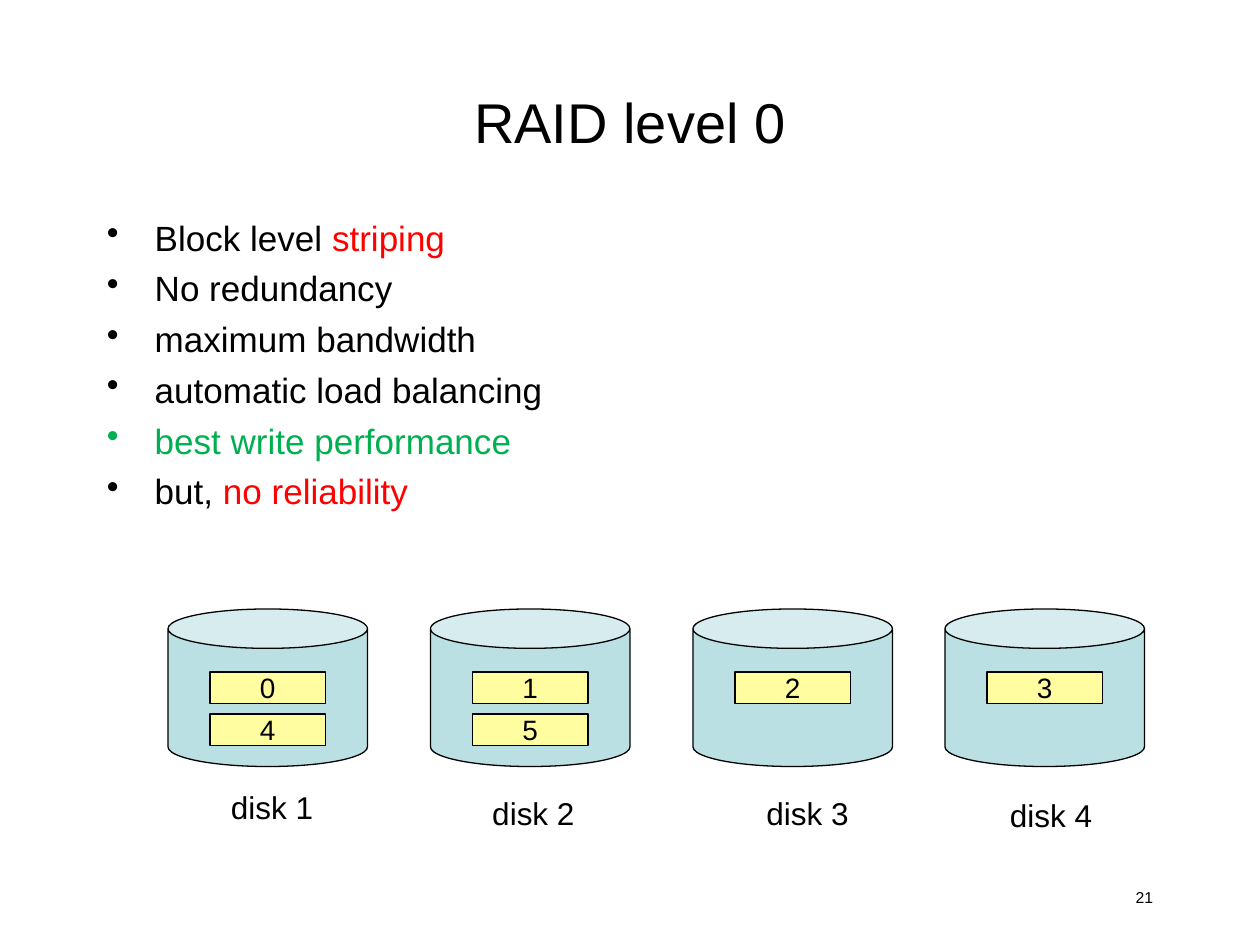
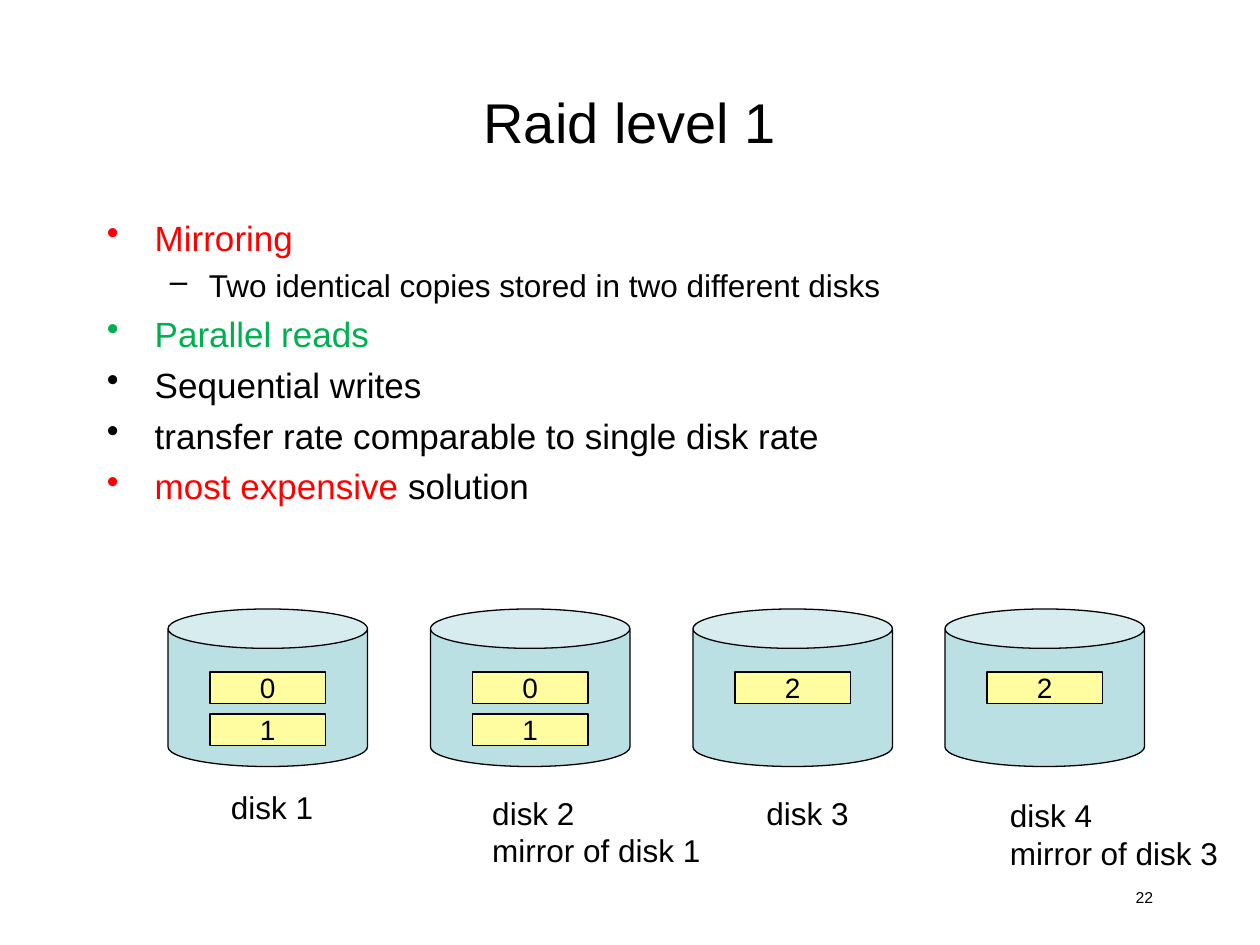
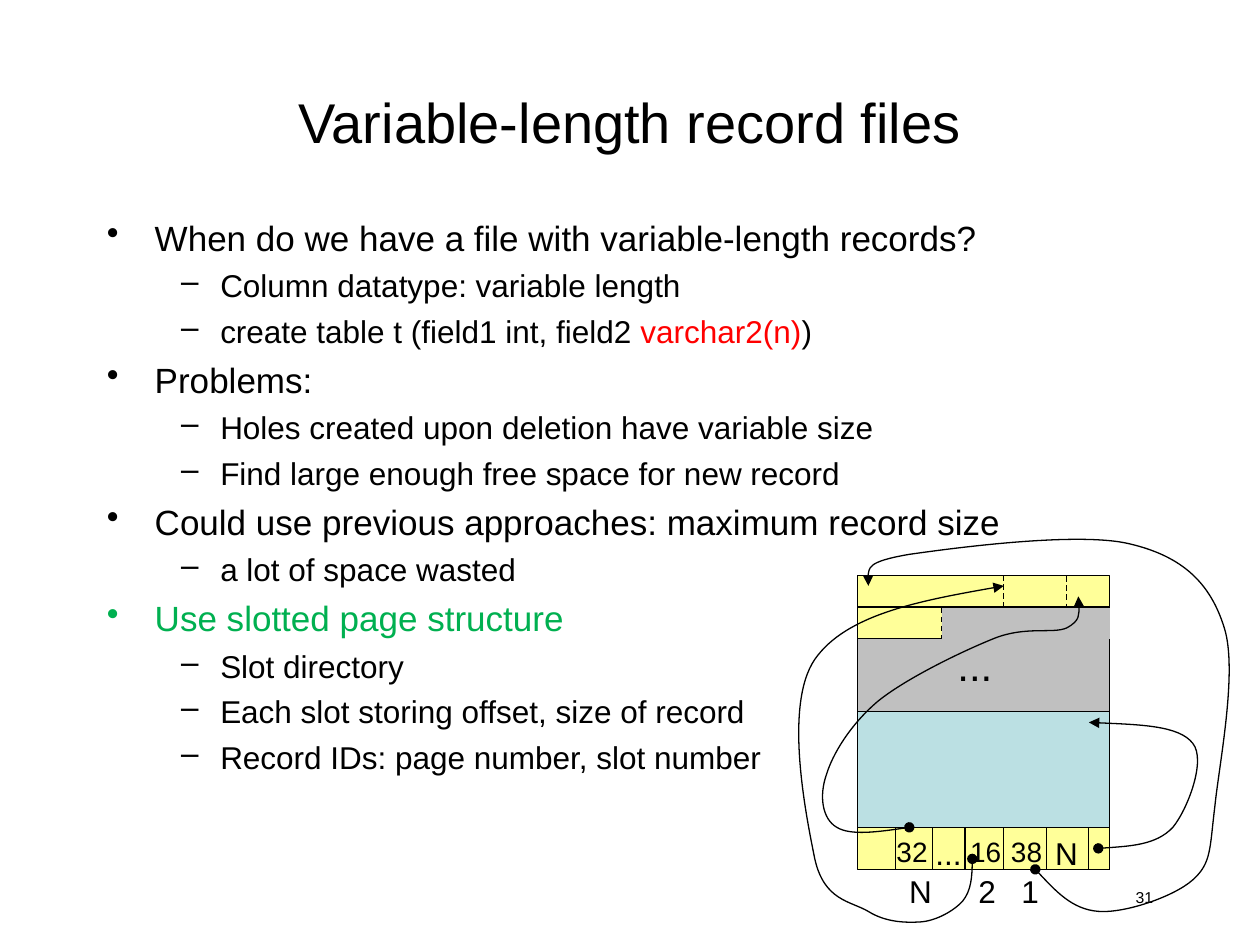
from dataclasses import dataclass
from typing import NamedTuple

from lxml import etree
from pptx import Presentation
from pptx.dml.color import RGBColor
from pptx.enum.dml import MSO_LINE
from pptx.enum.shapes import MSO_CONNECTOR, MSO_SHAPE
from pptx.enum.text import MSO_ANCHOR, MSO_AUTO_SIZE, PP_ALIGN
from pptx.oxml.ns import qn
from pptx.util import Inches, Pt

STRAIGHT = MSO_CONNECTOR.STRAIGHT
RECT, CAN = MSO_SHAPE.RECTANGLE, MSO_SHAPE.CAN
LEFT, CENTER, RIGHT = PP_ALIGN.LEFT, PP_ALIGN.CENTER, PP_ALIGN.RIGHT
MIDDLE = MSO_ANCHOR.MIDDLE
DASH = MSO_LINE.DASH
FIT_TEXT = MSO_AUTO_SIZE.SHAPE_TO_FIT_TEXT

FONT = "Arial"
BLACK, RED, GREEN = "000000", "FF0000", "00B050"
BLUE, GRAY, YELLOW, BLOCK_YELLOW = "BBE0E3", "C0C0C0", "FFFF99", "FFFDA0"
LINE_WIDTH = Pt(0.75)

# The slide is a grid of 120 columns by 90 rows.
WIDTH, HEIGHT = Inches(10), Inches(7.5)
COLS, ROWS = 120, 90


class Box(NamedTuple):
    col: float
    row: float
    cols: float
    rows: float


class Run(NamedTuple):
    text: str
    color: str = BLACK


@dataclass
class Bullet:
    runs: list[Run]
    level: int = 0


@dataclass
class Disk:
    col: float
    label_col: float
    label_row: float


@dataclass
class Label:
    col: float
    row: float
    text: str
    size: int = 18
    cols: float = 4.6
    wrap: bool = False


@dataclass
class Rule:
    start: tuple[float, float]
    end: tuple[float, float]
    color: str = BLACK
    dashed: bool = False


TITLE_BOX = Box(9, 4, 102, 15)
BODY_BOX = Box(9, 20, 102, 62)
NUMBER_BOX = Box(86, 84, 25, 4)
BULLET_SIZES, BULLET_MARKS = (20, 18), "•–"

DISKS = [Disk(16, 20.8, 74.5), Disk(41, 45.7, 75), Disk(66, 71.8, 75), Disk(90, 95, 75.2)]
DISK_ROW, DISK_COLS, DISK_ROWS = 58, 19, 15
BLOCK_ROW, BLOCK_STEP = 64, 4

# The slotted page is measured from its own top left corner.
PAGE_COL, PAGE_ROW = 81.7, 54.8
PAGE_COLS, PAGE_ROWS, SLOT_ROW = 24, 28, 24
PAGE_AREAS = [
    (Box(0, 0, PAGE_COLS, PAGE_ROWS), YELLOW, True),
    (Box(8, 3, 16, 3), GRAY, False),
    (Box(0, 6, PAGE_COLS, 7), GRAY, True),
    (Box(0, 13, PAGE_COLS, 11), BLUE, True),
]
PAGE_RULES = [Rule((0, row), (PAGE_COLS, row)) for row in (3, SLOT_ROW, PAGE_ROWS)]
PAGE_RULES += [Rule((col, SLOT_ROW), (col, PAGE_ROWS)) for col in (3.6, 7.1, 10.2, 13.9, 18, 22)]
PAGE_RULES += [Rule((col, row), (col, row + 3), dashed=True) for col, row in ((13.9, 0), (19.9, 0.1), (8, 3.1))]
PAGE_RULES.append(Rule((8, 6), (PAGE_COLS, 6), GRAY))
PAGE_LABELS = [
    Label(8.3, 5.5, "...", 24, 8.8, True),
    Label(2.5, 24.1, "32", 16, 5.4),
    Label(6.2, 24, "...", 18, 8.8, True),
    Label(9.5, 24.1, "16", 16, 5.4),
    Label(13.4, 24.1, "38", 16, 5.4),
    Label(17.6, 24, "N"),
    Label(3.7, 27.7, "N"),
    Label(10.3, 27.7, "2", cols=4.1),
    Label(14.4, 27.7, "1", cols=4.1),
]
# Each pointer is a start followed by groups of three Bézier points.
POINTERS = [
    [(22.9, 26), (25.7, 25.8), (28.4, 25.7), (30, 24), (31.4, 22.3), (33.2, 17.6), (31.9, 16),
     (30.6, 14.3), (26.3, 14.2), (22, 14)],
    [(16.9, 28), (18.7, 29.9), (20.4, 31.8), (22.9, 32), (25.4, 32.2), (30.1, 30.6), (31.9, 29),
     (33.7, 27.4), (33.5, 26), (34, 22), (34.4, 18), (36.2, 9.1), (34.9, 5),
     (33.6, 0.8), (31, -1.8), (25.9, -3), (21, -4.2), (9.1, -2.6), (4.9, -2),
     (0.8, -1.3), (0.8, -0.1), (1, 1)],
    [(10.9, 27), (10.9, 28.4), (10.8, 30), (10, 31), (9.1, 32), (7.4, 32.9), (6, 33),
     (4.4, 33.1), (2.6, 33), (1, 32), (-0.7, 31), (-3.2, 31), (-4.1, 27),
     (-4.9, 23), (-7.1, 12.4), (-4.1, 8), (-1.1, 3.7), (6.5, 2.3), (13.9, 1)],
    [(4.9, 24), (2.2, 24.4), (-0.7, 24.8), (-2, 24), (-3.4, 23.2), (-3.7, 21), (-3, 19),
     (-2.4, 17), (-0.7, 14.2), (1.9, 12), (4.6, 9.8), (10, 7.2), (13, 6),
     (16, 4.8), (18.6, 5.6), (19.9, 5), (21.2, 4.3), (21.1, 3.1), (21, 2)],
]

RAID_0 = [
    Bullet([Run("Block level "), Run("striping", RED)]),
    Bullet([Run("No redundancy")]),
    Bullet([Run("maximum bandwidth")]),
    Bullet([Run("automatic load balancing")]),
    Bullet([Run("best write performance", GREEN)]),
    Bullet([Run("but, "), Run("no reliability", RED)]),
]
RAID_1 = [
    Bullet([Run("Mirroring", RED)]),
    Bullet([Run("Two identical copies stored in two different disks")], 1),
    Bullet([Run("Parallel reads", GREEN)]),
    Bullet([Run("Sequential writes")]),
    Bullet([Run("transfer rate comparable to single disk rate")]),
    Bullet([Run("most expensive ", RED), Run("solution")]),
]
VARIABLE_LENGTH = [
    Bullet([Run("When do we have a file with variable-length records?")]),
    Bullet([Run("Column datatype: variable length")], 1),
    Bullet([Run("create table t (field1 int, field2 "), Run("varchar2(n)", RED), Run(")")], 1),
    Bullet([Run("Problems:")]),
    Bullet([Run("Holes created upon deletion have variable size")], 1),
    Bullet([Run("Find large enough free space for new record")], 1),
    Bullet([Run("Could use previous approaches: maximum record size")]),
    Bullet([Run("a lot of space wasted")], 1),
    Bullet([Run("Use slotted page structure", GREEN)]),
    Bullet([Run("Slot directory")], 1),
    Bullet([Run("Each slot storing offset, size of record")], 1),
    Bullet([Run("Record IDs: page number, slot number")], 1),
]


def rgb(color: str) -> RGBColor:
    return RGBColor.from_string(color)


def x(col: float) -> int:
    return round(WIDTH * col / COLS)


def y(row: float) -> int:
    return round(HEIGHT * row / ROWS)


def place(box: Box) -> tuple[int, int, int, int]:
    return x(box.col), y(box.row), x(box.cols), y(box.rows)


def on_page(col: float, row: float) -> tuple[int, int]:
    """Slide position of a point given on the slotted page."""
    return x(PAGE_COL + col), y(PAGE_ROW + row)


def add_run(p, run: Run, size: float) -> None:
    r = p.add_run()
    r.text = run.text
    r.font.name, r.font.size = FONT, Pt(size)
    r.font.color.rgb = rgb(run.color)


def next_paragraph(tf, index: int):
    return tf.add_paragraph() if index else tf.paragraphs[0]


def add_text(shapes, box: Box, lines: list[str], size: float, align=LEFT, wrap: bool = False):
    tf = shapes.add_textbox(*place(box)).text_frame
    tf.word_wrap = wrap
    for i, line in enumerate(lines):
        p = next_paragraph(tf, i)
        p.alignment = align
        add_run(p, Run(line), size)
    return tf


def add_label(shapes, col: float, row: float, lines: list[str], size: float, cols: float,
              wrap: bool = False) -> None:
    """Text box whose height follows from its lines."""
    rows = 0.2 * size * len(lines) + 1.2
    tf = add_text(shapes, Box(col, row, cols, rows), lines, size, wrap=wrap)
    tf.auto_size = FIT_TEXT


def add_bullets(slide, bullets: list[Bullet], sub_indent: float) -> None:
    tf = slide.shapes.add_textbox(*place(BODY_BOX)).text_frame
    tf.word_wrap = True
    for i, bullet in enumerate(bullets):
        p = next_paragraph(tf, i)
        size = BULLET_SIZES[bullet.level]
        margin, hanging = ((0.38, 0.38), (sub_indent, 0.31))[bullet.level]
        p.level = bullet.level
        pPr = p._p.get_or_add_pPr()
        pPr.set("marL", str(Inches(margin)))
        pPr.set("indent", str(-Inches(hanging)))
        etree.SubElement(pPr, qn("a:buChar"), char=BULLET_MARKS[bullet.level])
        if i:
            p.space_before = Pt(size / 4)
        for run in bullet.runs:
            add_run(p, run, size)


def add_shape(shapes, kind, box: Box, fill: str, outlined: bool = True):
    sp = shapes.add_shape(kind, *place(box))
    sp.shadow.inherit = False
    sp.fill.solid()
    sp.fill.fore_color.rgb = rgb(fill)
    if outlined:
        set_line(sp)
    else:
        sp.line.fill.background()
    return sp


def set_line(sp, color: str = BLACK) -> None:
    sp.line.color.rgb = rgb(color)
    sp.line.width = LINE_WIDTH


def add_rule(shapes, rule: Rule) -> None:
    sp = shapes.add_connector(STRAIGHT, *on_page(*rule.start), *on_page(*rule.end))
    set_line(sp, rule.color)
    if rule.dashed:
        sp.line.dash_style = DASH
    etree.SubElement(sp._element.spPr, qn("a:effectLst"))


def add_pointer(shapes, points: list[tuple[float, float]]) -> None:
    """Curved arrow with a dot at its start."""
    start, *rest = [on_page(*point) for point in points]
    builder = shapes.build_freeform(*start)
    builder.add_line_segments(rest, close=False)
    sp = builder.convert_to_shape()
    sp.shadow.inherit = False
    sp.fill.background()
    set_line(sp)
    outline = sp._element.find(".//" + qn("a:path"))
    segments = outline.findall(qn("a:lnTo"))
    for i in range(0, len(segments), 3):
        curve = etree.SubElement(outline, qn("a:cubicBezTo"))
        for segment in segments[i:i + 3]:
            curve.append(segment[0])
            outline.remove(segment)
    ln = sp.line._get_or_add_ln()
    etree.SubElement(ln, qn("a:headEnd"), type="oval")
    etree.SubElement(ln, qn("a:tailEnd"), type="triangle")


def add_slide(prs, title: str, number: int, bullets: list[Bullet], sub_indent: float = 0.81):
    slide = prs.slides.add_slide(prs.slide_layouts.get_by_name("Title Only"))
    sp = slide.shapes.title
    sp.left, sp.top, sp.width, sp.height = place(TITLE_BOX)
    tf = sp.text_frame
    tf.vertical_anchor = MIDDLE
    p = tf.paragraphs[0]
    p.alignment = CENTER
    add_run(p, Run(title), 32)
    add_text(slide.shapes, NUMBER_BOX, [str(number)], 9, RIGHT, True)
    add_bullets(slide, bullets, sub_indent)
    return slide


def add_disks(slide, contents: list[str], mirrors: dict[int, int]) -> None:
    """Draw the four disks; each character of contents is one block."""
    for number, (disk, blocks) in enumerate(zip(DISKS, contents), 1):
        add_shape(slide.shapes, CAN, Box(disk.col, DISK_ROW, DISK_COLS, DISK_ROWS), BLUE)
        for i, block in enumerate(blocks):
            box = Box(disk.col + 4, BLOCK_ROW + i * BLOCK_STEP, 11, 3)
            tf = add_shape(slide.shapes, RECT, box, BLOCK_YELLOW).text_frame
            tf.word_wrap = False
            tf.vertical_anchor = MIDDLE
            p = tf.paragraphs[0]
            p.alignment = CENTER
            add_run(p, Run(block), 16)
        lines, cols = [f"disk {number}"], 10.2
        if number in mirrors:
            lines.append(f"mirror of disk {mirrors[number]}")
            cols = 22.2
        add_label(slide.shapes, disk.label_col, disk.label_row, lines, 18, cols)


def add_slotted_page(slide) -> None:
    shapes = slide.shapes.add_group_shape().shapes
    for area, fill, outlined in PAGE_AREAS:
        box = area._replace(col=PAGE_COL + area.col, row=PAGE_ROW + area.row)
        add_shape(shapes, RECT, box, fill, outlined)
    for rule in PAGE_RULES:
        add_rule(shapes, rule)
    for label in PAGE_LABELS:
        add_label(shapes, PAGE_COL + label.col, PAGE_ROW + label.row, [label.text],
                  label.size, label.cols, label.wrap)
    for points in POINTERS:
        add_pointer(shapes, points)


def main() -> None:
    prs = Presentation()
    prs.slide_width, prs.slide_height = WIDTH, HEIGHT
    add_disks(add_slide(prs, "RAID level 0", 21, RAID_0), ["04", "15", "2", "3"], {})
    add_disks(add_slide(prs, "Raid level 1", 22, RAID_1), ["01", "01", "2", "2"], {2: 1, 4: 3})
    add_slotted_page(add_slide(prs, "Variable-length record files", 31, VARIABLE_LENGTH, 0.9))
    prs.save("out.pptx")


if __name__ == "__main__":
    main()
